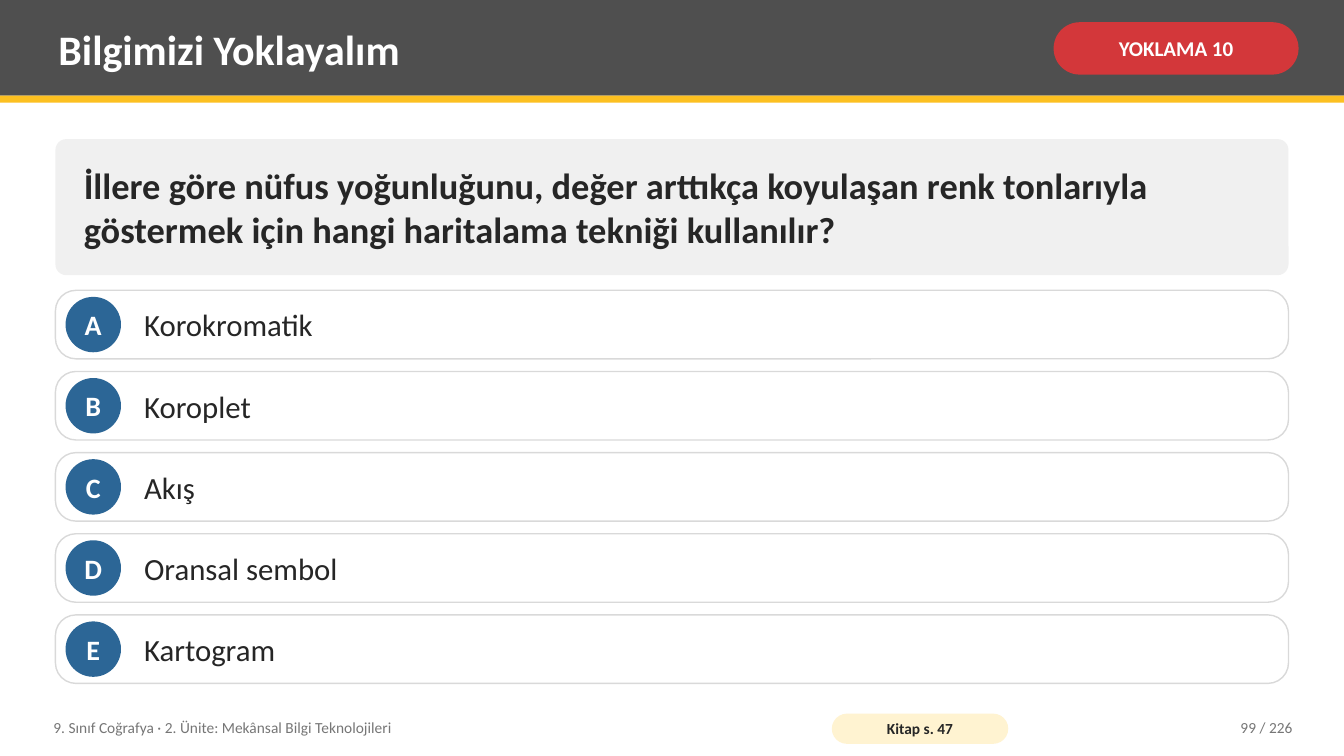
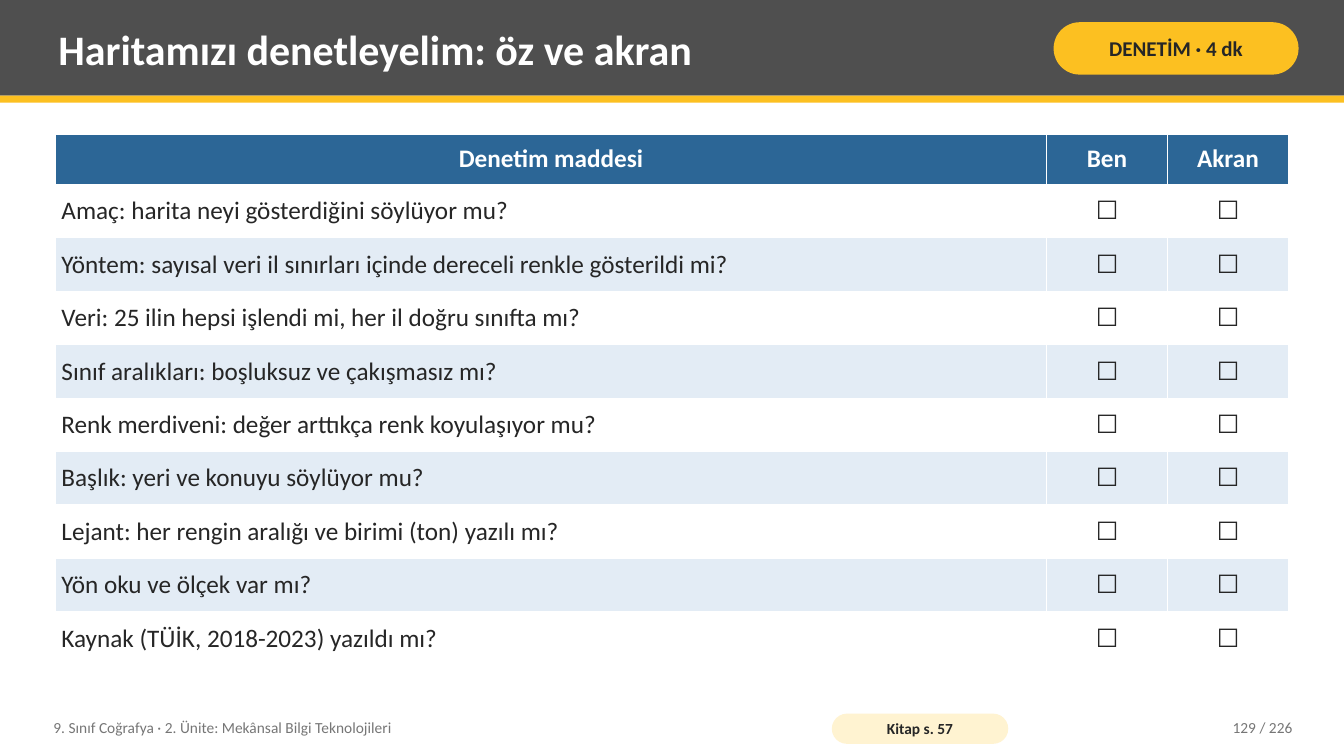
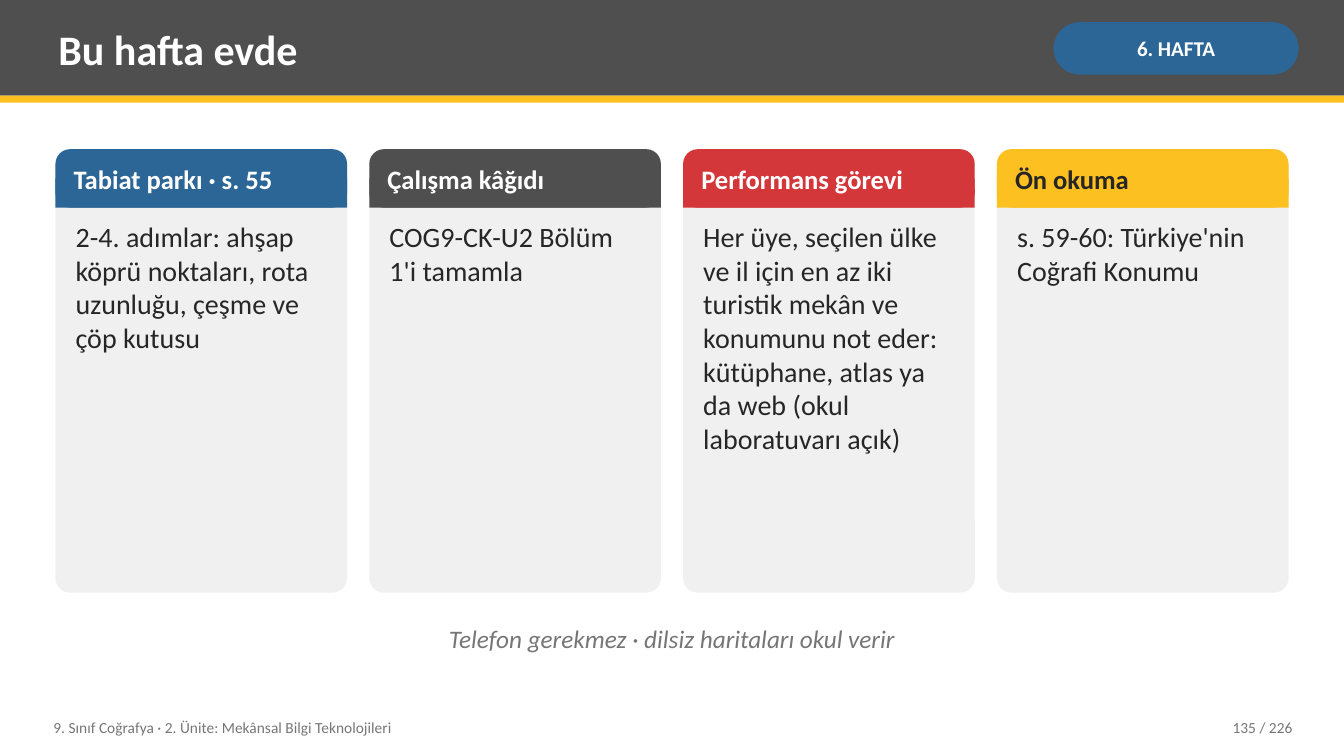
import lxml.etree
import pptx
import pptx.dml.color
import pptx.enum.shapes
import pptx.enum.text
import pptx.oxml.ns
import pptx.util

Inches = pptx.util.Inches
RGBColor = pptx.dml.color.RGBColor
Shape = pptx.enum.shapes.MSO_SHAPE
Align = pptx.enum.text.PP_ALIGN
Anchor = pptx.enum.text.MSO_ANCHOR

WHITE = RGBColor(0xFF, 0xFF, 0xFF)
INK = RGBColor(0x26, 0x26, 0x26)
CHARCOAL = RGBColor(0x4F, 0x4F, 0x4F)
GREY = RGBColor(0x76, 0x76, 0x76)
OUTLINE = RGBColor(0xD9, 0xD9, 0xD9)
PANEL = RGBColor(0xF0, 0xF0, 0xF0)
BLUE = RGBColor(0x2C, 0x66, 0x96)
PALE_BLUE = RGBColor(0xE3, 0xEC, 0xF5)
RED = RGBColor(0xD3, 0x37, 0x3A)
YELLOW = RGBColor(0xFC, 0xC0, 0x21)
CREAM = RGBColor(0xFF, 0xF3, 0xD1)

FONT = "Calibri"
WIDTH, HEIGHT = 13.33, 7.5
LEFT, CONTENT_WIDTH = 0.55, 12.23
COURSE = "9. Sınıf Coğrafya · 2. Ünite: Mekânsal Bilgi Teknolojileri"
PAGE_COUNT = 226


class Lesson:
    """Holds the lesson style and the slide being filled."""

    def __init__(self):
        self.deck = pptx.Presentation()
        self.deck.slide_width = Inches(WIDTH)
        self.deck.slide_height = Inches(HEIGHT)
        self.page = None

    def set_text(self, frame, text, size, color, bold=False, italic=False, align=Align.LEFT):
        para = frame.paragraphs[0]
        para.text = text
        para.alignment = align
        font = para.font
        font.name = FONT
        font.size = pptx.util.Pt(size)
        font.bold = bold
        font.italic = italic
        font.color.rgb = color

    def inset(self, frame, across, down, anchor=Anchor.MIDDLE):
        frame.margin_left = frame.margin_right = Inches(across)
        frame.margin_top = frame.margin_bottom = Inches(down)
        frame.vertical_anchor = anchor

    def text(self, place, text, size, color, anchor=Anchor.MIDDLE, **style):
        box = self.page.shapes.add_textbox(*map(Inches, place))
        box.text_frame.word_wrap = True
        self.inset(box.text_frame, 0.08, 0.04, anchor)
        self.set_text(box.text_frame, text, size, color, **style)

    def shape(self, kind, place, fill, corner=None, line=None):
        box = self.page.shapes.add_shape(kind, *map(Inches, place))
        box.shadow.inherit = False
        box.fill.solid()
        box.fill.fore_color.rgb = fill
        if line is None:
            box.line.fill.background()
        else:
            box.line.color.rgb = line
            box.line.width = pptx.util.Pt(1)
        if corner is not None:
            box.adjustments[0] = corner
        return box

    def label(self, box, text, size, color, insets, align=Align.CENTER, wrap=True):
        box.text_frame.word_wrap = wrap
        self.inset(box.text_frame, *insets)
        self.set_text(box.text_frame, text, size, color, bold=True, align=align)

    def start(self, title, tag, tag_fill, number, book_page=None, tag_color=WHITE):
        self.page = self.deck.slides.add_slide(self.deck.slide_layouts[6])
        self.shape(Shape.RECTANGLE, (0, 0, WIDTH, 0.95), CHARCOAL)
        self.shape(Shape.RECTANGLE, (0, 0.95, WIDTH, 0.07), YELLOW)
        self.text((0.5, 0.07, 9.75, 0.82), title, 30, WHITE, bold=True)
        pill = self.shape(Shape.ROUNDED_RECTANGLE, (10.45, 0.22, 2.43, 0.52), tag_fill, 0.5)
        self.label(pill, tag, 15, tag_color, (0.05, 0.02))
        self.text((0.45, 7.04, 7.6, 0.36), COURSE, 11, GREY)
        if book_page:
            pill = self.shape(Shape.ROUNDED_RECTANGLE, (8.25, 7.08, 1.75, 0.3), CREAM, 0.5)
            self.label(pill, f"Kitap s. {book_page}", 11, INK, (0.04, 0))
        self.text((11.3, 7.04, 1.6, 0.36), f"{number} / {PAGE_COUNT}", 11, GREY, align=Align.RIGHT)

    def question(self, text):
        panel = self.shape(Shape.ROUNDED_RECTANGLE, (LEFT, 1.38, CONTENT_WIDTH, 1.35), PANEL, 0.08)
        self.label(panel, text, 26, INK, (0.25, 0.08), Align.LEFT)

    def option(self, top, letter, text):
        height, dot = 0.68, 0.55
        self.shape(Shape.ROUNDED_RECTANGLE, (LEFT, top, CONTENT_WIDTH, height), WHITE, 0.3, OUTLINE)
        circle = self.shape(Shape.OVAL, (LEFT + 0.1, top + (height - dot) / 2, dot, dot), BLUE)
        self.label(circle, letter, 20, WHITE, (0, 0), wrap=False)
        self.text((LEFT + 0.8, top, CONTENT_WIDTH - 1, height), text, 22, INK)

    def border(self, cell):
        properties = cell._tc.get_or_add_tcPr()
        for side in ("a:lnL", "a:lnR", "a:lnT", "a:lnB"):
            line = lxml.etree.SubElement(properties, pptx.oxml.ns.qn(side), w="12192")
            fill = lxml.etree.SubElement(line, pptx.oxml.ns.qn("a:solidFill"))
            lxml.etree.SubElement(fill, pptx.oxml.ns.qn("a:srgbClr"), val=str(WHITE))

    def table(self, top, widths, header_height, row_height, rows):
        height = header_height + row_height * (len(rows) - 1)
        place = map(Inches, (LEFT, top, sum(widths), height))
        table = self.page.shapes.add_table(len(rows), len(widths), *place).table
        table.horz_banding = False
        for column, width in zip(table.columns, widths):
            column.width = Inches(width)
        for row, texts in enumerate(rows):
            header = row == 0
            table.rows[row].height = Inches(header_height if header else row_height)
            fill = BLUE if header else (PALE_BLUE, WHITE)[row % 2]
            for column, text in enumerate(texts):
                cell = table.cell(row, column)
                self.border(cell)
                cell.fill.solid()
                cell.fill.fore_color.rgb = fill
                self.inset(cell, 0.06, 0.05)
                align = Align.CENTER if header or column else Align.LEFT
                self.set_text(cell.text_frame, text, 18, WHITE if header else INK, bold=header, align=align)

    def card(self, left, width, heading, body, fill, color):
        top, height, band = 1.48, 4.4, 0.58
        self.shape(Shape.ROUNDED_RECTANGLE, (left, top, width, height), PANEL, 0.05)
        self.shape(Shape.ROUNDED_RECTANGLE, (left, top, width, band), fill, 0.25)
        self.shape(Shape.RECTANGLE, (left, top + band / 2, width, band / 2), fill)
        self.text((left + 0.1, top, width - 0.2, band), heading, 19, color, bold=True)
        body_place = (left + 0.12, top + band + 0.08, width - 0.24, height - band - 0.16)
        self.text(body_place, body, 20, INK, anchor=Anchor.TOP)


def add_quiz(lesson):
    lesson.start("Bilgimizi Yoklayalım", "YOKLAMA 10", RED, 99, 47)
    lesson.question(
        "İllere göre nüfus yoğunluğunu, değer arttıkça koyulaşan renk tonlarıyla "
        "göstermek için hangi haritalama tekniği kullanılır?"
    )
    options = ("Korokromatik", "Koroplet", "Akış", "Oransal sembol", "Kartogram")
    first_top, last_top = 2.88, 6.1
    step = (last_top - first_top) / (len(options) - 1)
    for index, (letter, text) in enumerate(zip("ABCDE", options)):
        lesson.option(first_top + index * step, letter, text)


def add_checklist(lesson):
    lesson.start("Haritamızı denetleyelim: öz ve akran", "DENETİM · 4 dk", YELLOW, 129, 57, INK)
    checks = (
        "Amaç: harita neyi gösterdiğini söylüyor mu?",
        "Yöntem: sayısal veri il sınırları içinde dereceli renkle gösterildi mi?",
        "Veri: 25 ilin hepsi işlendi mi, her il doğru sınıfta mı?",
        "Sınıf aralıkları: boşluksuz ve çakışmasız mı?",
        "Renk merdiveni: değer arttıkça renk koyulaşıyor mu?",
        "Başlık: yeri ve konuyu söylüyor mu?",
        "Lejant: her rengin aralığı ve birimi (ton) yazılı mı?",
        "Yön oku ve ölçek var mı?",
        "Kaynak (TÜİK, 2018-2023) yazıldı mı?",
    )
    rows = [("Denetim maddesi", "Ben", "Akran")] + [(check, "☐", "☐") for check in checks]
    lesson.table(1.33, (9.83, 1.2, 1.2), 0.5, 0.53, rows)


def add_homework(lesson):
    lesson.start("Bu hafta evde", "6. HAFTA", BLUE, 135)
    cards = (
        ("Tabiat parkı · s. 55",
         "2-4. adımlar: ahşap köprü noktaları, rota uzunluğu, çeşme ve çöp kutusu", BLUE, WHITE),
        ("Çalışma kâğıdı", "COG9-CK-U2 Bölüm 1'i tamamla", CHARCOAL, WHITE),
        ("Performans görevi",
         "Her üye, seçilen ülke ve il için en az iki turistik mekân ve konumunu not eder: "
         "kütüphane, atlas ya da web (okul laboratuvarı açık)", RED, WHITE),
        ("Ön okuma", "s. 59-60: Türkiye'nin Coğrafi Konumu", YELLOW, INK),
    )
    gap = 0.22
    width = (CONTENT_WIDTH - gap * (len(cards) - 1)) / len(cards)
    for index, card in enumerate(cards):
        lesson.card(LEFT + index * (width + gap), width, *card)
    lesson.text((LEFT, 6.03, CONTENT_WIDTH, 0.6), "Telefon gerekmez · dilsiz haritaları okul verir",
                18, GREY, italic=True, align=Align.CENTER)


def main():
    lesson = Lesson()
    add_quiz(lesson)
    add_checklist(lesson)
    add_homework(lesson)
    lesson.deck.save("out.pptx")


if __name__ == "__main__":
    main()
